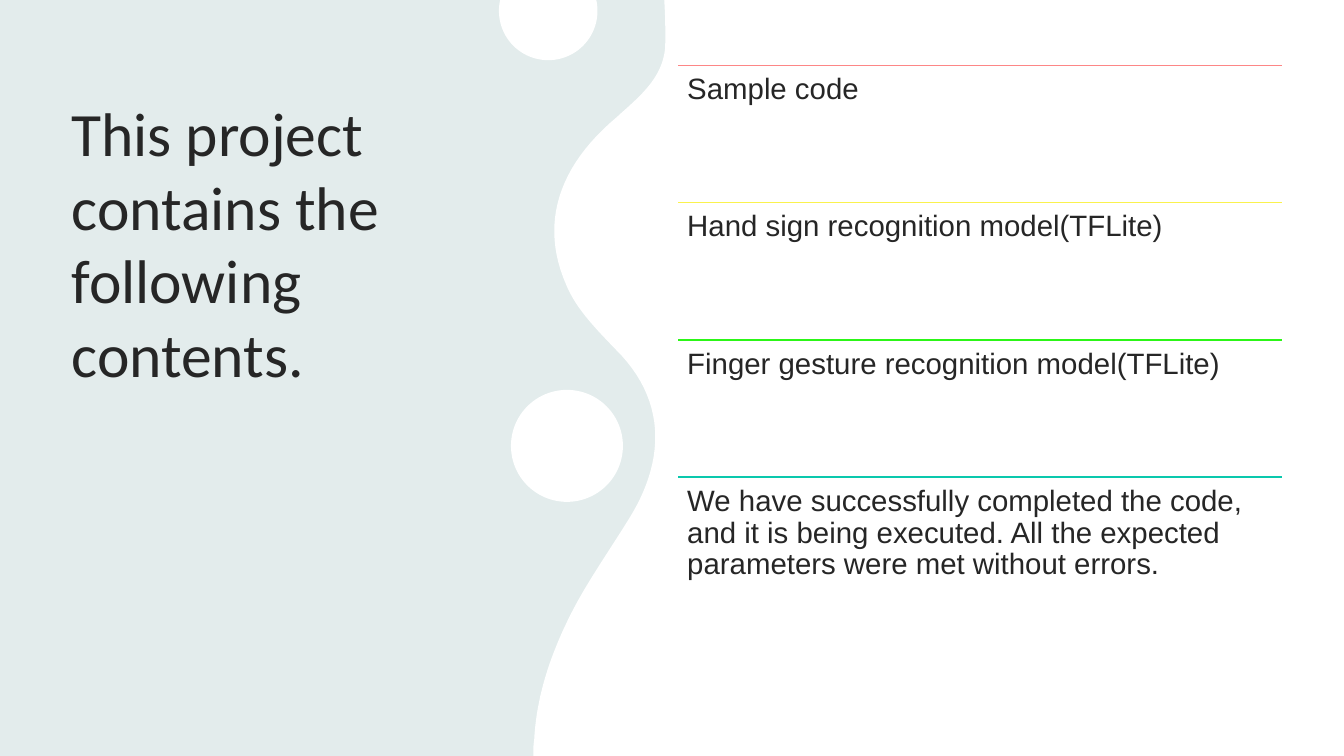
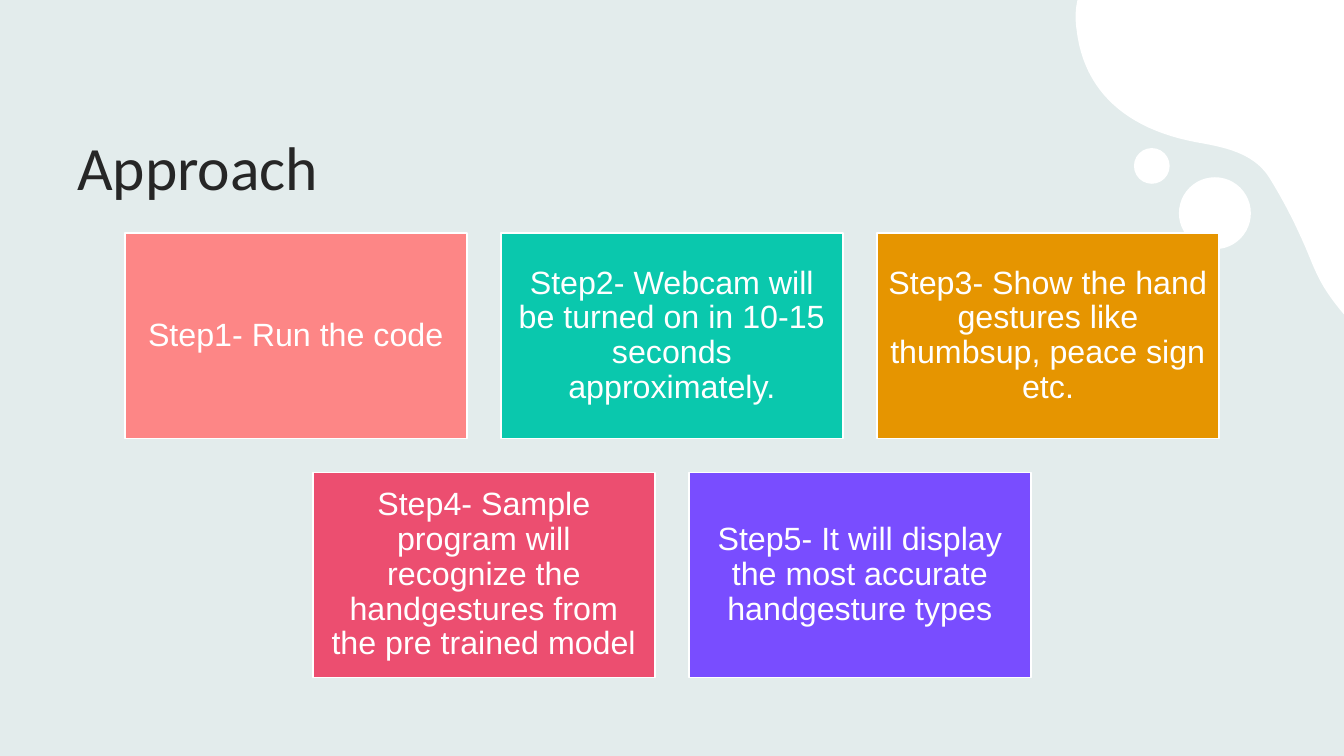
"""Build two slides: the project contents and the five-step approach."""
from dataclasses import dataclass

from lxml import etree
from pptx import Presentation
from pptx.dml.color import RGBColor
from pptx.enum.shapes import MSO_CONNECTOR, MSO_SHAPE
from pptx.enum.text import MSO_ANCHOR, PP_ALIGN
from pptx.oxml.ns import qn
from pptx.util import Pt

RECTANGLE, OVAL = MSO_SHAPE.RECTANGLE, MSO_SHAPE.OVAL
STRAIGHT = MSO_CONNECTOR.STRAIGHT
TOP, MIDDLE, BOTTOM = MSO_ANCHOR.TOP, MSO_ANCHOR.MIDDLE, MSO_ANCHOR.BOTTOM
LEFT, CENTER = PP_ALIGN.LEFT, PP_ALIGN.CENTER


@dataclass(frozen=True)
class Theme:
    """Colours, fonts and sizes shared by the slides."""

    width: float = 960
    height: float = 540
    background: str = "E3ECEC"
    white: str = "FFFFFF"
    ink: str = "262626"
    coral: str = "FD8686"
    yellow: str = "FAF24E"
    green: str = "2CF617"
    teal: str = "0AC8AD"
    orange: str = "E69500"
    rose: str = "EC4E70"
    violet: str = "794DFF"
    title_font: str = "Calibri"
    body_font: str = "Arial"
    title_size: float = 44
    item_size: float = 21
    step_size: float = 23
    line_width: float = 1
    body_spacing: float = 0.9


THEME = Theme()

CONTENTS = [
    ("Sample code", THEME.coral),
    ("Hand sign recognition model(TFLite)", THEME.yellow),
    ("Finger gesture recognition model(TFLite)", THEME.green),
    ("We have successfully completed the code, and it is being executed. "
     "All the expected parameters were met without errors.", THEME.teal),
]
STEP_ROWS = [
    [("Step1- Run the code", THEME.coral),
     ("Step2- Webcam will be turned on in 10-15 seconds approximately.", THEME.teal),
     ("Step3- Show the hand gestures like thumbsup, peace sign etc.", THEME.orange)],
    [("Step4- Sample program will recognize the handgestures from the pre trained model",
      THEME.rose),
     ("Step5- It will display the most accurate handgesture types", THEME.violet)],
]

WAVE_START = (381, 540)
WAVE_CURVES = [
    ((381, 534), (381, 532), (381.6, 528.5)),
    ((383, 501), (391, 473.8), (404, 446.4)),
    ((417, 418.3), (436.3, 392.4), (452.2, 365.8)),
    ((474.5, 327), (476, 285), (439.2, 249)),
    ((426.2, 235.4), (411.8, 221), (404.6, 203.8)),
    ((385.2, 159.8), (399, 118.8), (440, 84.2)),
    ((455.8, 69.8), (473.8, 56.2), (475.2, 33)),
    ((475.4, 22), (475.2, 11), (474.5, 0)),
]
WAVE_CORNERS = [(THEME.width, 0), (THEME.width, THEME.height)]
WAVE_DROPS = [(356.4, -27.4, 70.4), (365, 278.5, 80)]

CORNER_START = (769.7, 0)
CORNER_CURVES = [
    ((768, 7), (768, 14), (769, 21)),
    ((774, 65.5), (805, 92.2), (854, 101.5)),
    ((873.4, 105), (895, 108.7), (906.5, 126.7)),
    ((918.7, 146.2), (928.8, 167), (937.4, 188.6)),
    ((941.8, 198.7), (946, 208), (960, 224.6)),
]
CORNER_CORNERS = [(THEME.width, 0)]
CORNER_DROPS = [(842.1, 126.6, 51.4), (810, 105.8, 25.5)]


def paint(shape, fill, line=None):
    """Give a shape a solid fill, an optional outline and no shadow."""
    shape.shadow.inherit = False
    shape.fill.solid()
    shape.fill.fore_color.rgb = RGBColor.from_string(fill)
    if line:
        shape.line.color.rgb = RGBColor.from_string(line)
        shape.line.width = Pt(THEME.line_width)
    else:
        shape.line.fill.background()


def write(shape, text, font, size, color, inset, anchor=TOP, align=LEFT, spacing=1.0):
    """Write one wrapped paragraph into a shape."""
    frame = shape.text_frame
    frame.word_wrap = True
    frame.vertical_anchor = anchor
    frame.margin_left = frame.margin_right = Pt(inset[0])
    frame.margin_top = frame.margin_bottom = Pt(inset[1])
    paragraph = frame.paragraphs[0]
    paragraph.text = text
    paragraph.alignment = align
    paragraph.line_spacing = spacing
    paragraph.font.name = font
    paragraph.font.size = Pt(size)
    paragraph.font.color.rgb = RGBColor.from_string(color)


def curve_points(start, curves, steps=24):
    """Return points along a chain of cubic Bezier curves."""
    points = []
    for first, second, end in curves:
        for step in range(1, steps + 1):
            t = step / steps
            weights = ((1 - t) ** 3, 3 * t * (1 - t) ** 2, 3 * t * t * (1 - t), t ** 3)
            corners = (start, first, second, end)
            points.append(tuple(
                sum(weight * corner[axis] for weight, corner in zip(weights, corners))
                for axis in (0, 1)))
        start = end
    return points


def add_blob(slide, start, curves, corners, drops):
    """Draw a white curved area and the round drops beside it."""
    outline = [(Pt(x), Pt(y)) for x, y in curve_points(start, curves) + corners]
    builder = slide.shapes.build_freeform(Pt(start[0]), Pt(start[1]))
    builder.add_line_segments(outline, close=True)
    paint(builder.convert_to_shape(), THEME.white)
    for left, top, size in drops:
        drop = slide.shapes.add_shape(OVAL, Pt(left), Pt(top), Pt(size), Pt(size))
        paint(drop, THEME.white)


def add_title(slide, text, left, top, width, height, anchor=TOP):
    """Add a slide title."""
    title = slide.shapes.add_textbox(Pt(left), Pt(top), Pt(width), Pt(height))
    write(title, text, THEME.title_font, THEME.title_size, THEME.ink, (7.2, 3.6), anchor)


def add_content_item(slide, text, color, left, top, width, height):
    """Add a coloured rule with its text below."""
    rule = slide.shapes.add_connector(STRAIGHT, Pt(left), Pt(top), Pt(left + width), Pt(top))
    rule.line.color.rgb = RGBColor.from_string(color)
    rule.line.width = Pt(THEME.line_width)
    etree.SubElement(rule.element.spPr, qn("a:effectLst"))
    item = slide.shapes.add_textbox(Pt(left), Pt(top), Pt(width), Pt(height))
    write(item, text, THEME.body_font, THEME.item_size, THEME.ink, (6.3, 6.3),
          spacing=THEME.body_spacing)


def add_step_rows(slide, rows, top=166.6, width=244.2, height=146.5, gap=24.4):
    """Add rows of step boxes, each row centred on the slide."""
    for row_index, row in enumerate(rows):
        row_width = len(row) * (width + gap) - gap
        row_left = (THEME.width - row_width) / 2
        row_top = top + row_index * (height + gap)
        for column, (text, color) in enumerate(row):
            step = slide.shapes.add_shape(
                RECTANGLE, Pt(row_left + column * (width + gap)), Pt(row_top),
                Pt(width), Pt(height))
            paint(step, color, THEME.white)
            write(step, text, THEME.body_font, THEME.step_size, THEME.white, (6.9, 6.9),
                  MIDDLE, CENTER, THEME.body_spacing)


def add_slide(deck):
    """Add a blank slide with the shared background."""
    slide = deck.slides.add_slide(deck.slide_layouts[6])
    slide.background.fill.solid()
    slide.background.fill.fore_color.rgb = RGBColor.from_string(THEME.background)
    return slide


def build_contents(deck):
    """Build the project contents slide."""
    slide = add_slide(deck)
    add_blob(slide, WAVE_START, WAVE_CURVES, WAVE_CORNERS, WAVE_DROPS)
    add_title(slide, "This project contains the following contents.", 44, 64, 292, 426)
    pitch = 98
    for index, (text, color) in enumerate(CONTENTS):
        add_content_item(slide, text, color, 484.6, 46.8 + index * pitch, 431.2, pitch)


def build_approach(deck):
    """Build the approach slide."""
    slide = add_slide(deck)
    add_blob(slide, CORNER_START, CORNER_CURVES, CORNER_CORNERS, CORNER_DROPS)
    add_title(slide, "Approach", 48, 44, 864, 104.4, BOTTOM)
    add_step_rows(slide, STEP_ROWS)


def main():
    """Build and save the presentation."""
    deck = Presentation()
    deck.slide_width, deck.slide_height = Pt(THEME.width), Pt(THEME.height)
    build_contents(deck)
    build_approach(deck)
    deck.save("out.pptx")


if __name__ == "__main__":
    main()
